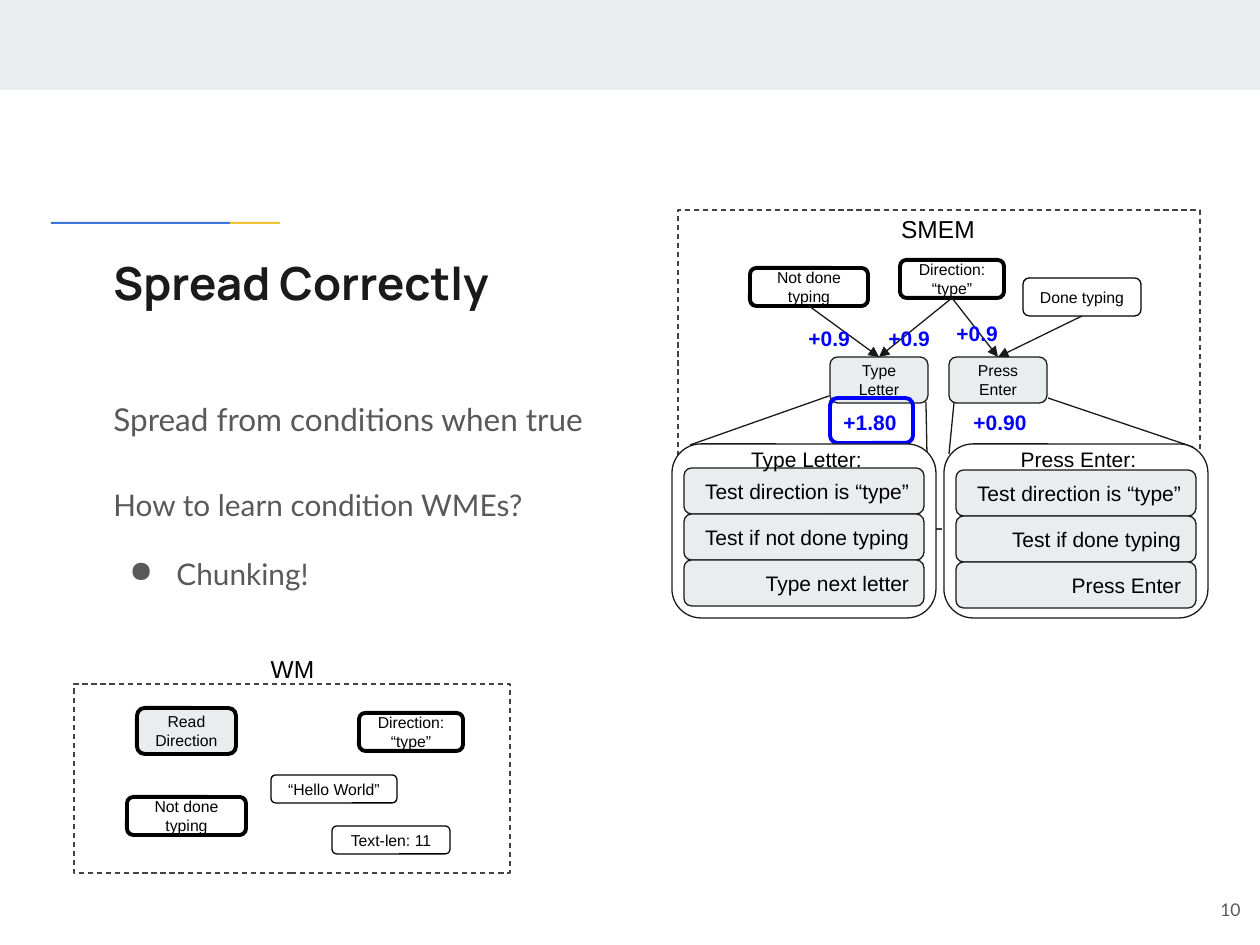
from dataclasses import dataclass

from lxml import etree
from pptx import Presentation
from pptx.dml.color import RGBColor
from pptx.enum.dml import MSO_LINE
from pptx.enum.shapes import MSO_CONNECTOR, MSO_SHAPE
from pptx.enum.text import MSO_ANCHOR, PP_ALIGN
from pptx.oxml.ns import qn
from pptx.util import Emu, Pt

PX = 914400 / 126
PALE, INK, BLACK, WHITE, BLUE, GREY = "E9EDEE", "1A1A1A", "000000", "FFFFFF", "0000FF", "595959"
BOLD_LINE, THIN_LINE = 2.25, 0.75


@dataclass
class Area:
    x: int
    y: int
    w: int
    h: int


@dataclass
class Style:
    size: int
    font: str = "Arial"
    color: str = BLACK
    bold: bool = False
    align: PP_ALIGN = PP_ALIGN.LEFT
    anchor: MSO_ANCHOR = MSO_ANCHOR.TOP


@dataclass
class Panel:
    area: Area
    heading: str
    steps: tuple
    first_step: int


NODE = Style(9, align=PP_ALIGN.CENTER, anchor=MSO_ANCHOR.MIDDLE)
STEP = Style(12, align=PP_ALIGN.RIGHT, anchor=MSO_ANCHOR.MIDDLE)
HEADING = Style(12, align=PP_ALIGN.CENTER, anchor=MSO_ANCHOR.MIDDLE)
MEMORY = Style(14, align=PP_ALIGN.CENTER)
BOOST = Style(12, color=BLUE, bold=True)


def px(length: int) -> Emu:
    return Emu(round(length * PX))


def rgb(color: str) -> RGBColor:
    return RGBColor.from_string(color)


def box(area: Area):
    return px(area.x), px(area.y), px(area.w), px(area.h)


def write(frame, lines: list, style: Style):
    frame.word_wrap = True
    frame.vertical_anchor = style.anchor
    frame.margin_left = frame.margin_right = frame.margin_top = frame.margin_bottom = Emu(91440)
    for number, line in enumerate(lines):
        paragraph = frame.add_paragraph() if number else frame.paragraphs[0]
        paragraph.text = line
        paragraph.alignment = style.align
        paragraph.font.size = Pt(style.size)
        paragraph.font.name = style.font
        paragraph.font.bold = style.bold
        paragraph.font.color.rgb = rgb(style.color)


def add_text(slide, area: Area, lines: list, style: Style):
    frame = slide.shapes.add_textbox(*box(area)).text_frame
    write(frame, lines, style)
    return frame


def add_box(slide, area: Area, fill: str = "", line: str = "", width: float = THIN_LINE,
            rounded: bool = True, dashed: bool = False, text: str = "", style: Style = NODE):
    kind = MSO_SHAPE.ROUNDED_RECTANGLE if rounded else MSO_SHAPE.RECTANGLE
    shape = slide.shapes.add_shape(kind, *box(area))
    shape.shadow.inherit = False
    if fill:
        shape.fill.solid()
        shape.fill.fore_color.rgb = rgb(fill)
    else:
        shape.fill.background()
    if line:
        shape.line.color.rgb = rgb(line)
        shape.line.width = Pt(width)
    else:
        shape.line.fill.background()
    if dashed:
        shape.line.dash_style = MSO_LINE.DASH
    if text:
        write(shape.text_frame, [text], style)
    return shape


def add_line(slide, x1: int = 0, y1: int = 0, x2: int = 0, y2: int = 0):
    connector = slide.shapes.add_connector(MSO_CONNECTOR.STRAIGHT, px(x1), px(y1), px(x2), px(y2))
    connector.line.color.rgb = rgb(INK)
    connector.line.width = Pt(THIN_LINE)
    etree.SubElement(connector._element.spPr, qn("a:effectLst"))
    return connector


def add_arrow(slide, source, target):
    connector = add_line(slide)
    connector.begin_connect(source, 2)
    connector.end_connect(target, 0)
    etree.SubElement(connector.line._get_or_add_ln(), qn("a:tailEnd"), type="triangle")


def add_bullet(paragraph):
    properties = paragraph._p.get_or_add_pPr()
    properties.set("marL", str(px(63)))
    properties.set("indent", str(px(-47)))
    color = etree.SubElement(properties, qn("a:buClr"))
    etree.SubElement(color, qn("a:srgbClr"), val=GREY)
    etree.SubElement(properties, qn("a:buChar"), char="●")


def add_panel(slide, panel: Panel):
    area = panel.area
    add_box(slide, area, WHITE, INK)
    for row, step in enumerate(panel.steps):
        add_box(slide, Area(area.x + 12, panel.first_step + row * 46, 240, 46),
                PALE, INK, text=step, style=STEP)
    add_text(slide, Area(area.x + 61, area.y + 1, 147, 28), [panel.heading], HEADING)


def main():
    deck = Presentation()
    deck.slide_width, deck.slide_height = px(1260), px(945)
    slide = deck.slides.add_slide(deck.slide_layouts[6])

    add_box(slide, Area(0, 0, 1260, 90), PALE, rounded=False)
    add_box(slide, Area(51, 222, 179, 2), "3C78D8", rounded=False)
    add_box(slide, Area(230, 222, 50, 2), "F1C232", rounded=False)

    add_text(slide, Area(101, 242, 538, 98), ["Spread Correctly"], Style(26, "Manrope", INK, True))
    claim = add_text(slide, Area(101, 382, 562, 72), ["Spread from conditions when true"],
                     Style(18, "Lato", GREY))
    claim.paragraphs[0].line_spacing = 1.15
    question = add_text(slide, Area(101, 469, 562, 135),
                        ["How to learn condition WMEs?", "Chunking!"], Style(17, "Lato", GREY))
    for paragraph in question.paragraphs:
        paragraph.line_spacing = 1.15
    question.paragraphs[1].space_before = Pt(16)
    add_bullet(question.paragraphs[1])
    add_text(slide, Area(1177, 873, 76, 72), ["10"],
             Style(10, "Lato", GREY, align=PP_ALIGN.RIGHT, anchor=MSO_ANCHOR.MIDDLE))

    for area, name, name_area in (
        (Area(74, 684, 436, 189), "WM", Area(225, 641, 135, 54)),
        (Area(678, 210, 522, 319), "SMEM", Area(878, 201, 120, 41)),
    ):
        add_box(slide, area, line="434343", rounded=False, dashed=True)
        add_text(slide, name_area, [name], MEMORY)

    def node(text: str, area: Area, width: float, fill: str = WHITE, line: str = BLACK):
        return add_box(slide, area, fill, line, width, text=text)

    node("Read Direction", Area(137, 708, 99, 46), BOLD_LINE, PALE)
    node("Not done typing", Area(127, 797, 119, 38), BOLD_LINE)
    node("Direction: “type”", Area(359, 713, 104, 38), BOLD_LINE)
    node("“Hello World”", Area(271, 775, 126, 28), THIN_LINE)
    node("Text-len: 11", Area(332, 826, 118, 28), THIN_LINE)

    type_letter = node("Type Letter", Area(830, 357, 98, 46), THIN_LINE, PALE, INK)
    press_enter = node("Press Enter", Area(949, 357, 98, 46), THIN_LINE, PALE, INK)
    for ends in ((829, 396, 690, 445), (926, 402, 927, 454),
                 (954, 403, 949, 454), (1193, 447, 1048, 398)):
        add_line(slide, *ends)

    not_done = node("Not done typing", Area(750, 268, 118, 38), BOLD_LINE)
    direction = node("Direction: “type”", Area(900, 260, 104, 38), BOLD_LINE)
    done = node("Done typing", Area(1023, 278, 118, 38), THIN_LINE)
    for source, target in ((direction, press_enter), (direction, type_letter),
                           (not_done, type_letter), (done, press_enter)):
        add_arrow(slide, source, target)

    for text, x, y in (("+0.9", 876, 313), ("+0.9", 796, 313), ("+0.9", 944, 308),
                       ("+1.80", 831, 397), ("+0.90", 961, 397)):
        add_text(slide, Area(x, y, 82, 38), [text], BOOST)
    add_box(slide, Area(830, 398, 83, 45), line=BLUE, width=BOLD_LINE)

    add_panel(slide, Panel(Area(944, 444, 264, 174), "Press Enter:",
                           ("Test direction is “type”", "Test if done typing", "Press Enter"), 470))
    add_panel(slide, Panel(Area(672, 444, 264, 174), "Type Letter:",
                           ("Test direction is “type”", "Test if not done typing",
                            "Type next letter"), 468))
    deck.save("out.pptx")


if __name__ == "__main__":
    main()
